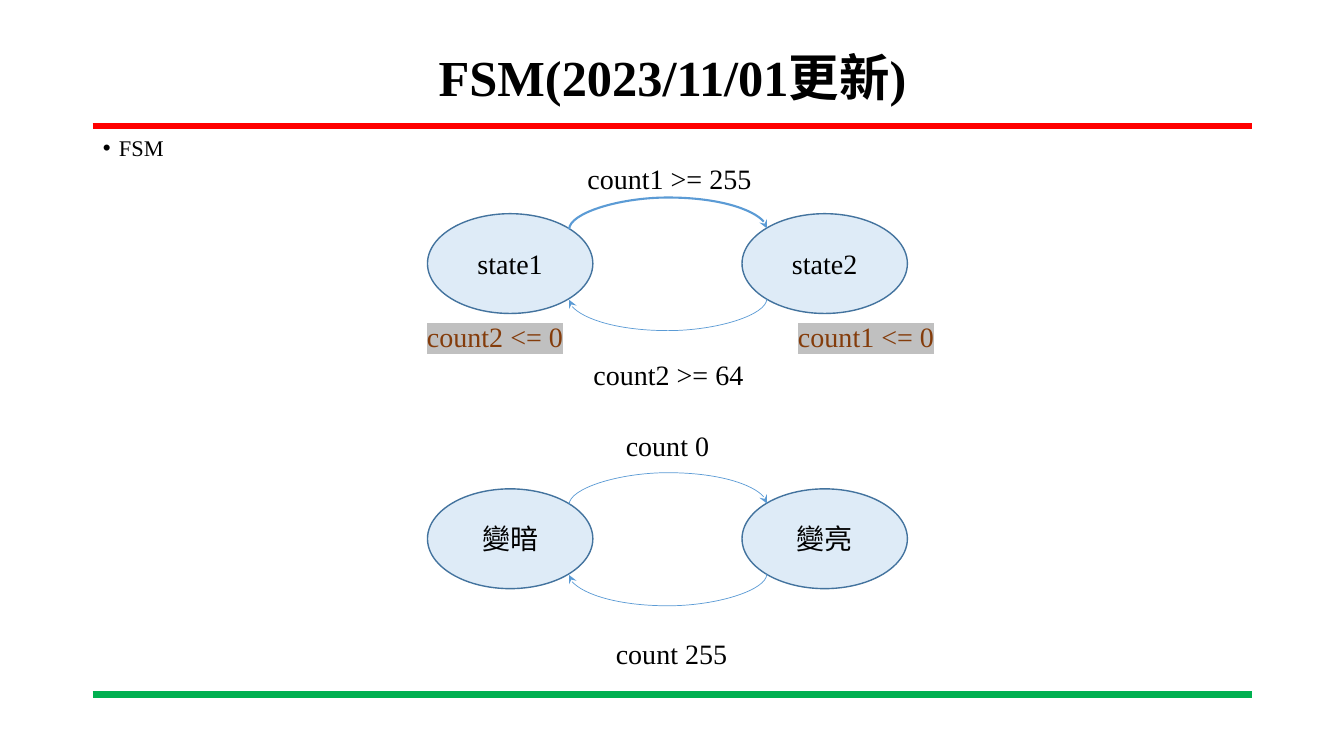
from dataclasses import dataclass

from lxml import etree
from pptx import Presentation
from pptx.dml.color import RGBColor
from pptx.enum.shapes import MSO_CONNECTOR, MSO_SHAPE
from pptx.enum.text import MSO_ANCHOR, PP_ALIGN
from pptx.oxml.ns import qn
from pptx.util import Inches, Pt


@dataclass(frozen=True)
class Theme:
    latin: str = "Times New Roman"
    east_asian: str = "Noto Sans CJK SC"
    title_size: int = 36
    body_size: int = 16
    label_size: int = 20
    text: str = "000000"
    action: str = "843C0B"
    highlight: str = "C0C0C0"
    state_fill: str = "DEEBF7"
    state_line: str = "43739E"
    arrow: str = "5B9BD5"
    top_rule: str = "FF0000"
    bottom_rule: str = "00B050"


THEME = Theme()

# Geometry shared by both state diagrams, in inches
STATE_WIDTH, STATE_HEIGHT = 1.64, 0.99
STATE_LEFTS = (4.24, 7.36)
ARROW_SPAN, ARROW_DEPTH = 1.96, 0.01
ARROW_BULGE = 3203800  # curve height, in 1/100000 of ARROW_DEPTH
TOP_LEFT, BOTTOM_LEFT, BOTTOM_RIGHT, TOP_RIGHT = 1, 3, 5, 7  # ellipse sites


def color(value):
    return RGBColor.from_string(value)


def write(frame, text, size, ink=THEME.text, bold=False,
          align=PP_ALIGN.CENTER, highlight=None):
    paragraph = frame.paragraphs[0]
    paragraph.alignment = align
    run = paragraph.add_run()
    run.text = text
    run.font.size = Pt(size)
    run.font.bold = bold
    run.font.color.rgb = color(ink)
    run.font.name = THEME.latin
    properties = run.font._element
    east_asian = etree.SubElement(properties, qn("a:ea"))
    east_asian.set("typeface", THEME.east_asian)
    if highlight:
        marker = etree.Element(qn("a:highlight"))
        etree.SubElement(marker, qn("a:srgbClr")).set("val", highlight)
        properties.find(qn("a:solidFill")).addnext(marker)
    return paragraph


def place(shape, left, top, width, height):
    shape.left, shape.top = Inches(left), Inches(top)
    shape.width, shape.height = Inches(width), Inches(height)


def style_line(connector, ink, width):
    connector.line.color.rgb = color(ink)
    connector.line.width = Pt(width)
    etree.SubElement(connector._element.spPr, qn("a:effectLst"))


def add_rule(slide, top, ink):
    rule = slide.shapes.add_connector(
        MSO_CONNECTOR.STRAIGHT, Inches(0.92), Inches(top), Inches(12.42), Inches(top))
    style_line(rule, ink, 4.5)


def add_state(slide, left, top, name):
    state = slide.shapes.add_shape(
        MSO_SHAPE.OVAL, Inches(left), Inches(top),
        Inches(STATE_WIDTH), Inches(STATE_HEIGHT))
    state.shadow.inherit = False
    state.fill.solid()
    state.fill.fore_color.rgb = color(THEME.state_fill)
    state.line.color.rgb = color(THEME.state_line)
    state.line.width = Pt(1)
    state.text_frame.vertical_anchor = MSO_ANCHOR.MIDDLE
    write(state.text_frame, name, THEME.label_size)
    return state


def add_label(slide, left, top, width, text, **style):
    label = slide.shapes.add_textbox(
        Inches(left), Inches(top), Inches(width), Inches(0.33))
    label.text_frame.word_wrap = True
    write(label.text_frame, text, THEME.label_size, **style)


def add_transition(slide, source, source_site, target, target_site,
                   middle, flipped, width):
    """Draw a curve lying on its side, then turn it a quarter clockwise."""
    left, top = 6.62, middle - ARROW_SPAN / 2
    start, end = (left, top), (left + ARROW_DEPTH, top + ARROW_SPAN)
    if flipped:
        start, end = end, start
    arrow = slide.shapes.add_connector(
        MSO_CONNECTOR.CURVE, *(Inches(value) for value in start + end))
    style_line(arrow, THEME.arrow, width)
    etree.SubElement(arrow.line._get_or_add_ln(), qn("a:tailEnd")).set("type", "stealth")

    # Quarter turn and curve height
    properties = arrow._element.spPr
    properties.find(qn("a:xfrm")).set("rot", "5400000")
    adjustments = properties.find(qn("a:prstGeom")).find(qn("a:avLst"))
    bulge = etree.SubElement(adjustments, qn("a:gd"))
    bulge.set("name", "adj1")
    bulge.set("fmla", f"val {ARROW_BULGE}")

    # Attach both ends to the states
    links = arrow._element.find(".//" + qn("p:cNvCxnSpPr"))
    for tag, state, site in (("a:stCxn", source, source_site),
                             ("a:endCxn", target, target_site)):
        link = etree.SubElement(links, qn(tag))
        link.set("id", str(state.shape_id))
        link.set("idx", str(site))


def add_state_pair(slide, top, names, forward_width):
    first, second = (add_state(slide, left, top, name)
                     for left, name in zip(STATE_LEFTS, names))
    add_transition(slide, first, TOP_RIGHT, second, TOP_LEFT,
                   top + 0.15, True, forward_width)
    add_transition(slide, second, BOTTOM_LEFT, first, BOTTOM_RIGHT,
                   top + 0.85, False, 0.5)


def fill_title(slide, text):
    title = slide.shapes.title
    place(title, 0.92, 0.4, 11.5, 0.79)
    title.text_frame.vertical_anchor = MSO_ANCHOR.MIDDLE
    write(title.text_frame, text, THEME.title_size, bold=True).line_spacing = 0.9


def fill_body(slide, text):
    body = slide.placeholders[1]
    place(body, 0.92, 1.31, 11.5, 5.51)
    item = write(body.text_frame, text, THEME.body_size, align=PP_ALIGN.LEFT)
    item.line_spacing = 0.9
    item.space_before = Pt(3)
    properties = item._p.get_or_add_pPr()
    properties.set("marL", str(Inches(0.16)))
    properties.set("indent", str(Inches(-0.16)))
    etree.SubElement(properties, qn("a:buChar")).set("char", "•")


def main():
    deck = Presentation()
    deck.slide_width, deck.slide_height = Inches(13.33), Inches(7.5)
    slide = deck.slides.add_slide(deck.slide_layouts[1])

    # Heading, list and rules
    add_rule(slide, 1.25, THEME.top_rule)
    add_rule(slide, 6.89, THEME.bottom_rule)
    fill_title(slide, "FSM(2023/11/01更新)")
    fill_body(slide, "FSM")

    # State diagrams
    add_state_pair(slide, 2.12, ("state1", "state2"), 1.5)
    add_state_pair(slide, 4.85, ("變暗", "變亮"), 0.5)

    # Transition conditions
    for left, top, width, condition in (
            (5.66, 1.55, 1.96, "count1 >= 255"),
            (5.65, 3.5, 1.96, "count2 >= 64"),
            (5.88, 4.2, 1.48, "count 0"),
            (5.9, 6.27, 1.52, "count 255")):
        add_label(slide, left, top, width, condition)

    # Counter resets inside the states
    for left, reset in ((3.93, "count2 <= 0"), (7.61, "count1 <= 0")):
        add_label(slide, left, 3.12, 1.96, reset,
                  ink=THEME.action, highlight=THEME.highlight)

    deck.save("out.pptx")


if __name__ == "__main__":
    main()
